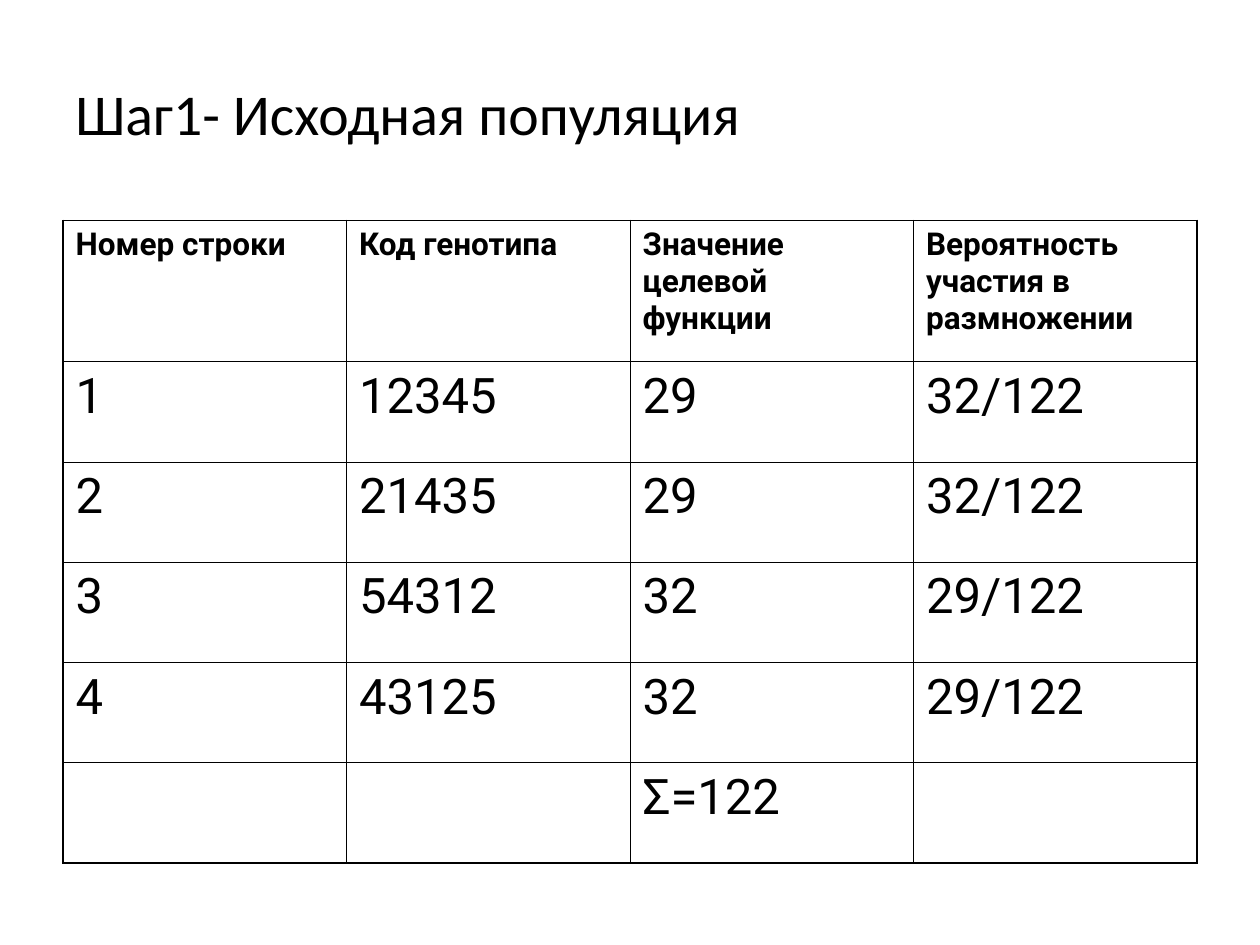
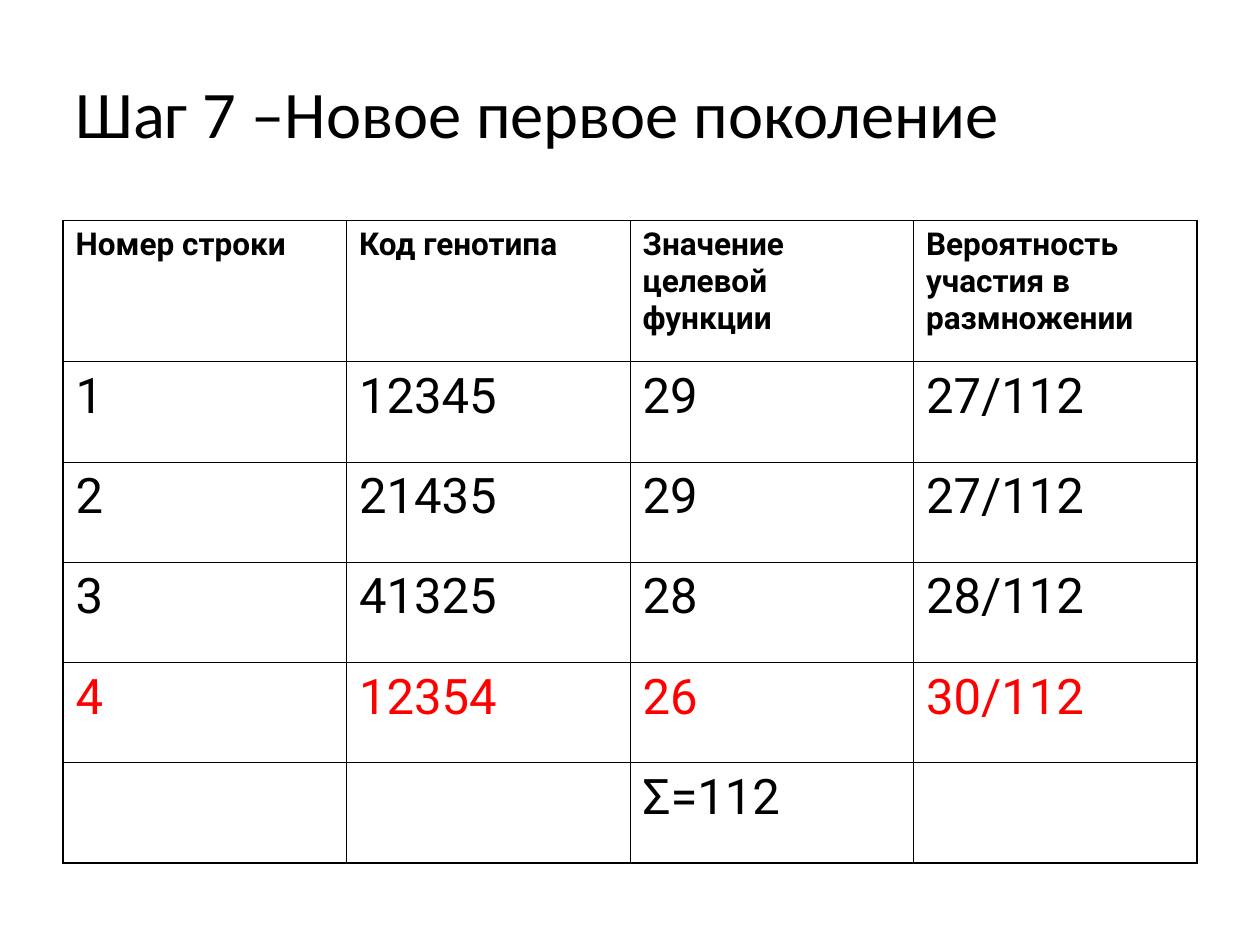
from lxml import etree
from pptx import Presentation
from pptx.dml.color import RGBColor
from pptx.enum.text import MSO_ANCHOR
from pptx.oxml.ns import qn
from pptx.util import Pt

MIDDLE = MSO_ANCHOR.MIDDLE
BLANK_LAYOUT = 6

BLACK = "000000"
RED = "FF0000"
TITLE_FONT = "Calibri"
TABLE_FONT = "Roboto"

MARGIN = 36
CONTENT_WIDTH = 648
TITLE_TOP, TITLE_HEIGHT = 21.6, 90
TABLE_TOP = 126
HEADER_HEIGHT, ROW_HEIGHT = 80.7, 57.3
OUTER_LINE, INNER_LINE = 1.08, 0.45

HEADINGS = (
    "Номер строки",
    "Код генотипа",
    "Значение целевой функции",
    "Вероятность участия в размножении",
)
INITIAL_POPULATION = (
    ("1", "12345", "29", "32/122"),
    ("2", "21435", "29", "32/122"),
    ("3", "54312", "32", "29/122"),
    ("4", "43125", "32", "29/122"),
    ("", "", "Σ=122", ""),
)
FIRST_GENERATION = (
    ("1", "12345", "29", "27/112"),
    ("2", "21435", "29", "27/112"),
    ("3", "41325", "28", "28/112"),
    ("4", "12354", "26", "30/112"),
    ("", "", "Σ=112", ""),
)
NEW_INDIVIDUAL_ROW = 4


def rgb(hex_color):
    return RGBColor.from_string(hex_color)


def style_text(paragraph, font_name, size, color=BLACK, bold=False):
    for run in paragraph.runs:
        run.font.name = font_name
        run.font.size = Pt(size)
        run.font.color.rgb = rgb(color)
        run.font.bold = bold


def add_title(slide, title, size):
    box = slide.shapes.add_textbox(
        Pt(MARGIN), Pt(TITLE_TOP), Pt(CONTENT_WIDTH), Pt(TITLE_HEIGHT)
    )
    frame = box.text_frame
    frame.word_wrap = True
    frame.vertical_anchor = MIDDLE
    frame.text = title
    heading = frame.paragraphs[0]
    heading.line_spacing = 0.9
    style_text(heading, TITLE_FONT, size)


def add_border(cell, side, width):
    properties = cell._tc.get_or_add_tcPr()
    line = etree.SubElement(properties, qn(f"a:{side}"), w=str(int(Pt(width))))
    fill = etree.SubElement(line, qn("a:solidFill"))
    etree.SubElement(fill, qn("a:srgbClr"), val=BLACK)


def frame_cell(cell, outer_edges):
    for side, is_outer in outer_edges.items():
        add_border(cell, side, OUTER_LINE if is_outer else INNER_LINE)
    cell.fill.background()


def add_population_table(slide, population, highlighted_row=None):
    rows = (HEADINGS, *population)
    last_row, last_column = len(rows) - 1, len(HEADINGS) - 1
    table = slide.shapes.add_table(
        len(rows), len(HEADINGS), Pt(MARGIN), Pt(TABLE_TOP), Pt(CONTENT_WIDTH),
        Pt(HEADER_HEIGHT + ROW_HEIGHT * len(population)),
    ).table
    table.first_row = False
    table.horz_banding = False
    for column in table.columns:
        column.width = Pt(CONTENT_WIDTH / len(HEADINGS))
    for r, values in enumerate(rows):
        is_header = r == 0
        table.rows[r].height = Pt(HEADER_HEIGHT if is_header else ROW_HEIGHT)
        color = RED if r == highlighted_row else BLACK
        for c, value in enumerate(values):
            cell = table.cell(r, c)
            cell.text_frame.text = value
            style_text(cell.text_frame.paragraphs[0], TABLE_FONT,
                       18 if is_header else 28, color, is_header)
            frame_cell(cell, {"lnL": c == 0, "lnR": c == last_column,
                              "lnT": is_header, "lnB": r == last_row})


def add_step_slide(deck, title, title_size, population, highlighted_row=None):
    slide = deck.slides.add_slide(deck.slide_layouts[BLANK_LAYOUT])
    add_title(slide, title, title_size)
    add_population_table(slide, population, highlighted_row)


def main():
    deck = Presentation()
    deck.slide_width, deck.slide_height = Pt(720), Pt(540)
    add_step_slide(deck, "Шаг1- Исходная популяция", 33, INITIAL_POPULATION)
    add_step_slide(deck, "Шаг 7 –Новое первое поколение", 38,
                   FIRST_GENERATION, NEW_INDIVIDUAL_ROW)
    deck.save("out.pptx")


if __name__ == "__main__":
    main()
